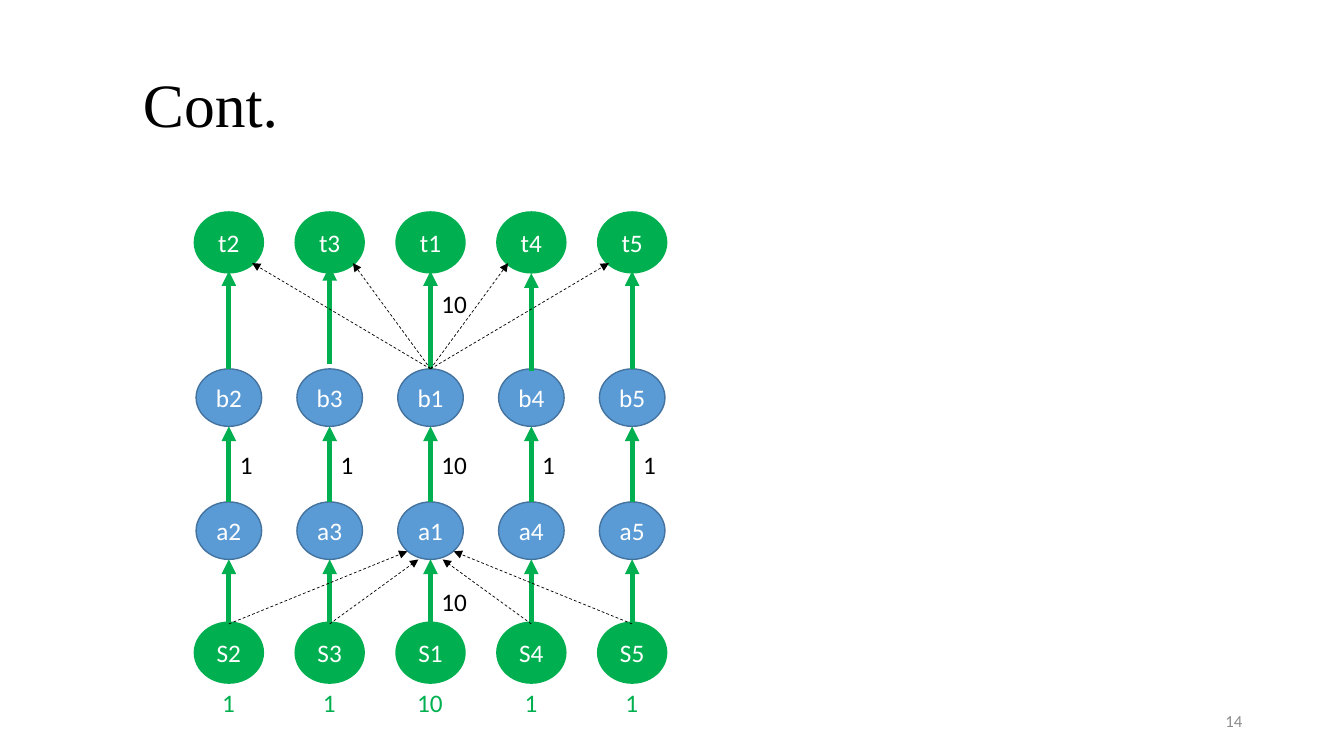
"""Draw a layered flow network with five columns of nodes."""
from lxml import etree
from pptx import Presentation
from pptx.dml.color import RGBColor
from pptx.enum.dml import MSO_LINE
from pptx.enum.shapes import MSO_CONNECTOR, MSO_SHAPE
from pptx.enum.text import MSO_ANCHOR, PP_ALIGN
from pptx.oxml.ns import qn
from pptx.util import Inches, Pt

OVAL = MSO_SHAPE.OVAL
STRAIGHT = MSO_CONNECTOR.STRAIGHT
DASH = MSO_LINE.DASH
MIDDLE, TOP = MSO_ANCHOR.MIDDLE, MSO_ANCHOR.TOP
LEFT, CENTER, RIGHT = PP_ALIGN.LEFT, PP_ALIGN.CENTER, PP_ALIGN.RIGHT

COLORS = {"green": "00B050", "blue": "5B9BD5", "edge": "43739E",
          "black": "000000", "white": "FFFFFF", "gray": "8C8C8C"}
WIDE, HIGH = 0.65, 0.57
COLS = [2.27 + col for col in range(5)]
ROWS = {"t": 2.12, "b": 3.66, "a": 4.98, "S": 6.19}
ORDER = [2, 3, 1, 4, 5]
FLOWS = ["1", "1", "10", "1", "1"]
HUB = 2
NUDGE = {("t", 1): -0.05, ("t", 3): 0.02}


def color(name):
    """Return the named colour."""
    return RGBColor.from_string(COLORS[name])


def write(shape, text, size, ink, align, anchor, font="Calibri"):
    """Set and format the text of a shape."""
    frame = shape.text_frame
    frame.text = text
    frame.vertical_anchor = anchor
    para = frame.paragraphs[0]
    para.alignment = align
    face = para.runs[0].font
    face.name, face.size = font, Pt(size)
    face.color.rgb = color(ink)
    return frame


def add_text(slide, box, text, size, ink, align=LEFT, anchor=MIDDLE,
             font="Calibri", wrap=True):
    """Add a text box."""
    shape = slide.shapes.add_textbox(*map(Inches, box))
    frame = write(shape, text, size, ink, align, anchor, font)
    frame.word_wrap = wrap
    return frame


def add_node(slide, mid, top, text, fill, edge, width):
    """Add a round node centred on a column."""
    box = (mid - WIDE / 2, top, WIDE, HIGH)
    node = slide.shapes.add_shape(OVAL, *map(Inches, box))
    node.shadow.inherit = False
    node.fill.solid()
    node.fill.fore_color.rgb = color(fill)
    node.line.color.rgb = color(edge)
    node.line.width = Pt(width)
    frame = write(node, text, 18, "white", CENTER, MIDDLE)
    frame.margin_left = frame.margin_right = 0


def add_arrow(slide, start, end, ink, width, dash=None):
    """Add an arrow from start to end."""
    arrow = slide.shapes.add_connector(
        STRAIGHT, *map(Inches, (*start, *end)))
    arrow.line.color.rgb = color(ink)
    arrow.line.width = Pt(width)
    if dash:
        arrow.line.dash_style = dash
    props = arrow.line._get_or_add_ln()
    etree.SubElement(props, qn("a:tailEnd"), type="triangle")
    etree.SubElement(arrow._element.spPr, qn("a:effectLst"))


def add_label(slide, left, top, text, ink="black"):
    """Add a flow value."""
    width = label_width(text)
    add_text(slide, (left, top, width, 0.4), text, 18, ink,
             anchor=TOP, wrap=False)


def label_width(text):
    """Return the width of a flow value's box."""
    return 0.2 + 0.13 * len(text)


def add_nodes(slide):
    """Add all four rows of nodes."""
    for row, top in ROWS.items():
        style = ("blue", "edge", 1) if row in "ab" else ("green", "green", 3.5)
        for mid, num in zip(COLS, ORDER):
            add_node(slide, mid, top, f"{row}{num}", *style)


def add_flows(slide):
    """Add the upright arrows between neighbouring rows."""
    names = list(ROWS)
    for upper, lower in zip(names, names[1:]):
        for col, mid in enumerate(COLS):
            shift = NUDGE.get((upper, col), 0)
            add_arrow(slide, (mid, ROWS[lower] + shift),
                      (mid, ROWS[upper] + HIGH + shift), "green", 3.5)


def add_fans(slide):
    """Add the dashed arrows into a1 and out of b1."""
    hub = COLS[HUB]
    for col, mid in enumerate(COLS):
        if col == HUB:
            continue
        side = 1 if col > HUB else -1
        near = abs(col - HUB) == 1
        reach, lift = (0.12, 0) if near else (0.23, 0.08)
        add_arrow(slide, (mid, ROWS["S"]),
                  (hub + side * reach, ROWS["a"] + HIGH - lift),
                  "black", 0.5, DASH)
        add_arrow(slide, (hub, ROWS["b"]),
                  (mid - side * 0.23, ROWS["t"] + HIGH - 0.08),
                  "black", 0.5, DASH)


def add_values(slide):
    """Add the flow values beside the arrows and below the sources."""
    for mid, flow in zip(COLS, FLOWS):
        add_label(slide, mid + 0.01, 4.41, flow)
        add_label(slide, mid - label_width(flow) / 2, 6.77, flow, "green")
    for top in (2.81, 5.77):
        add_label(slide, COLS[HUB] + 0.01, top, FLOWS[HUB])


def main():
    """Build and save the slide."""
    deck = Presentation()
    deck.slide_width, deck.slide_height = Inches(13.33), Inches(7.5)
    slide = deck.slides.add_slide(deck.slide_layouts[6])
    title = add_text(slide, (1.32, 0.34, 11.5, 1.45), "Cont.", 44, "black",
                     font="Times New Roman")
    title.paragraphs[0].line_spacing = 0.9
    add_text(slide, (9.42, 6.95, 3, 0.4), "14", 12, "gray", RIGHT)
    add_nodes(slide)
    add_flows(slide)
    add_fans(slide)
    add_values(slide)
    deck.save("out.pptx")


if __name__ == "__main__":
    main()
